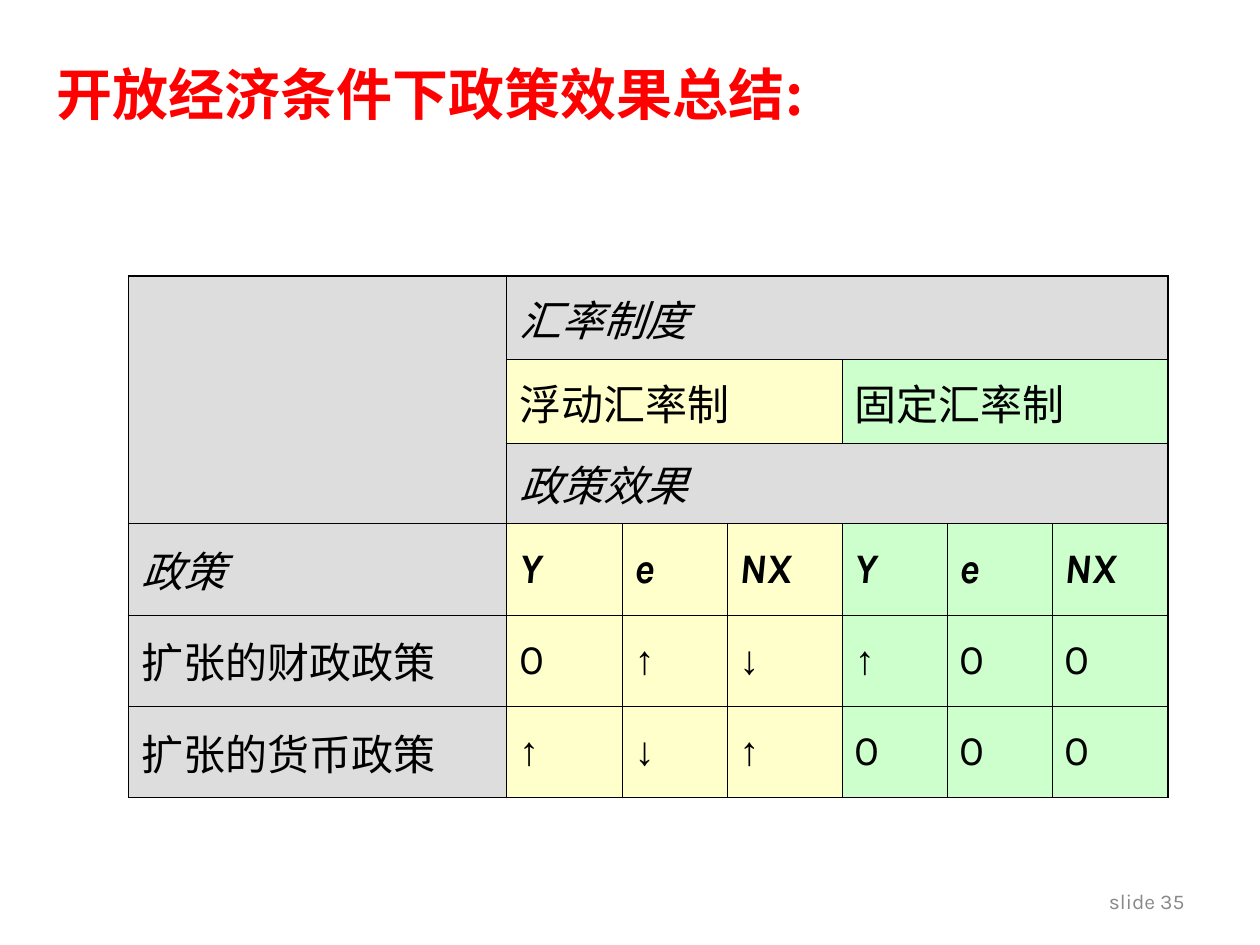
from dataclasses import dataclass

from lxml.etree import SubElement
from pptx import Presentation
from pptx.dml.color import RGBColor
from pptx.enum.text import MSO_ANCHOR, PP_ALIGN
from pptx.oxml.ns import qn
from pptx.util import Pt


@dataclass(frozen=True)
class Theme:
    red: str = "FF0000"
    black: str = "000000"
    muted: str = "898989"
    grey: str = "DDDDDD"
    yellow: str = "FFFFCC"
    green: str = "CCFFCC"
    head: float = 32
    body: float = 24
    arrow: float = 23
    foot: float = 12
    thin: float = 0.45
    thick: float = 1.08
    latin: str = "Karla"
    sign: str = "Arial"
    han: str = "Noto Sans CJK SC"


theme = Theme()


def style(frame, size, color, face, bold=False, italic=False):
    """Format every run, with the Han font for East Asian text."""
    frame.vertical_anchor = MSO_ANCHOR.MIDDLE
    for para in frame.paragraphs:
        for run in para.runs:
            font = run.font
            font.size, font.name = Pt(size), face
            font.bold, font.italic = bold, italic
            font.color.rgb = RGBColor.from_string(color)
            SubElement(font._element, qn("a:ea"), typeface=theme.han)


def edge(cell, side, width):
    """Draw one solid border; call before the cell fill is set."""
    props = cell._tc.get_or_add_tcPr()
    line = SubElement(props, qn(f"a:ln{side}"), w=str(int(Pt(width))))
    fill = SubElement(line, qn("a:solidFill"))
    SubElement(fill, qn("a:srgbClr"), val=theme.black)


deck = Presentation()
deck.slide_width, deck.slide_height = Pt(720), Pt(540)
slide = deck.slides.add_slide(deck.slide_layouts[6])

# Title
title = slide.shapes.add_textbox(Pt(25.2), Pt(20.2), Pt(660), Pt(66.2)).text_frame
title.word_wrap = True
title.text = "开放经济条件下政策效果总结:"
style(title, theme.head, theme.red, theme.han, bold=True)

# Policy table
rows = [
    ["", "汇率制度", "", "", "", "", ""],
    ["", "浮动汇率制", "", "", "固定汇率制", "", ""],
    ["", "政策效果", "", "", "", "", ""],
    ["政策", "Y", "e", "NX", "Y", "e", "NX"],
    ["扩张的财政政策", "0", "↑", "↓", "↑", "0", "0"],
    ["扩张的货币政策", "↑", "↓", "↑", "0", "0", "0"],
]
widths = [216, 66, 60, 66, 60, 60, 66]
heights = [48, 48, 45.6, 52.2, 52.2, 52.2]
spans = [(0, 0, 2, 0), (0, 1, 0, 6), (1, 1, 1, 3), (1, 4, 1, 6), (2, 1, 2, 6)]
banners = (0, 2)
symbols = 3

table = slide.shapes.add_table(
    len(rows), len(widths), Pt(73.4), Pt(157.6), Pt(sum(widths)), Pt(sum(heights))
).table
table.first_row = table.horz_banding = False
for col, width in zip(table.columns, widths):
    col.width = Pt(width)
for row, height in zip(table.rows, heights):
    row.height = Pt(height)
for top, left, bottom, right in spans:
    table.cell(top, left).merge(table.cell(bottom, right))

for r, texts in enumerate(rows):
    for c, text in enumerate(texts):
        cell = table.cell(r, c)
        last = c + cell.span_width == len(widths)
        for side, outer in (("L", c == 0), ("R", last), ("T", r == 0), ("B", False)):
            edge(cell, side, theme.thick if outer else theme.thin)

        if c == 0 or r in banners:
            shade = theme.grey
        else:
            shade = theme.yellow if c < 4 else theme.green
        cell.fill.solid()
        cell.fill.fore_color.rgb = RGBColor.from_string(shade)

        cell.vertical_anchor = MSO_ANCHOR.MIDDLE
        if text:
            cell.text_frame.text = text
            arrow = text in "↑↓"
            style(
                cell.text_frame,
                theme.arrow if arrow else theme.body,
                theme.black,
                theme.sign if arrow else theme.latin,
                bold=r == symbols and c > 0,
                italic=r in banners or r == symbols,
            )

# Slide number
foot = slide.shapes.add_textbox(Pt(516.2), Pt(500.4), Pt(167.8), Pt(28.8)).text_frame
foot.word_wrap = True
foot.text = "slide 35"
foot.paragraphs[0].alignment = PP_ALIGN.RIGHT
style(foot, theme.foot, theme.muted, theme.latin)

deck.save("out.pptx")
